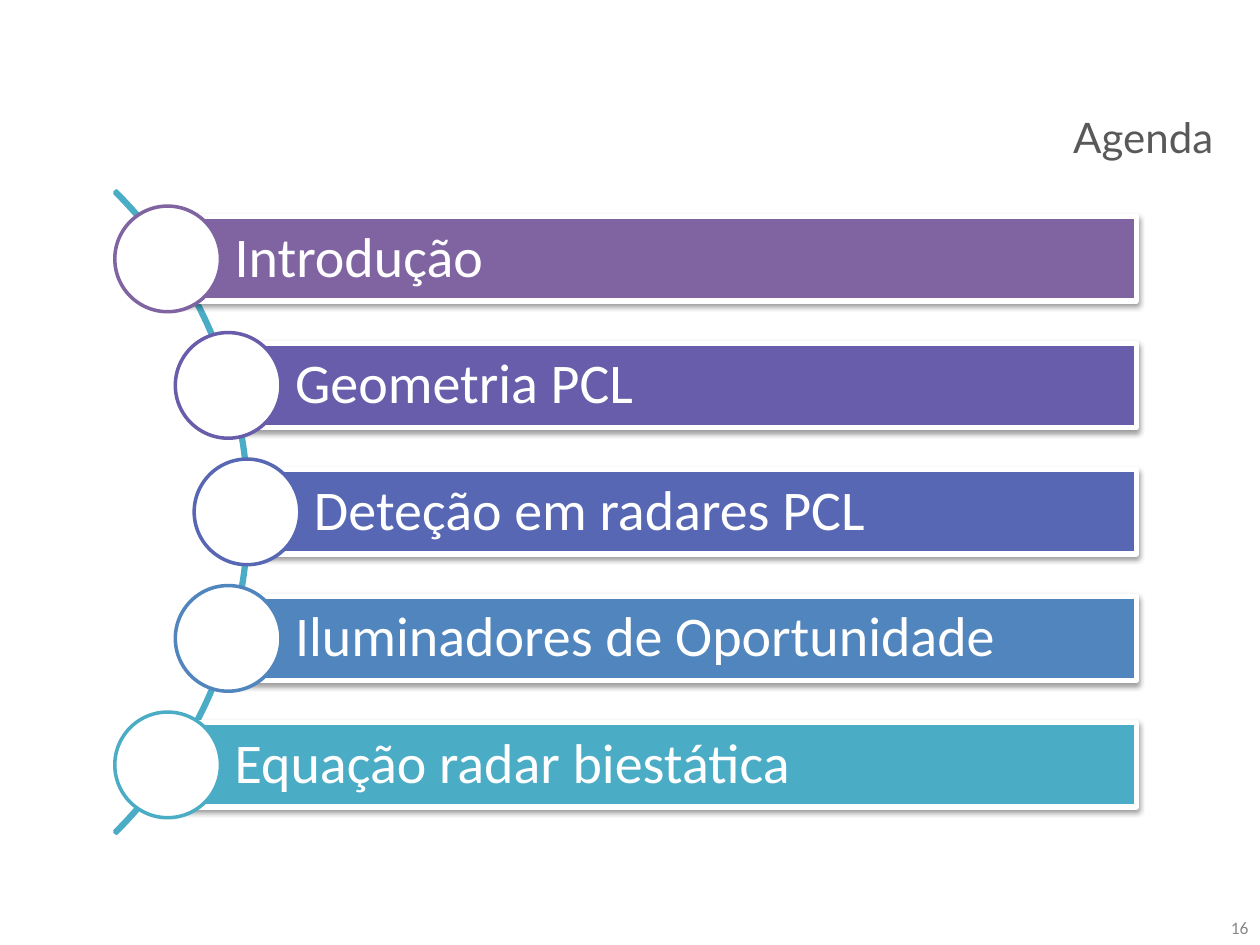
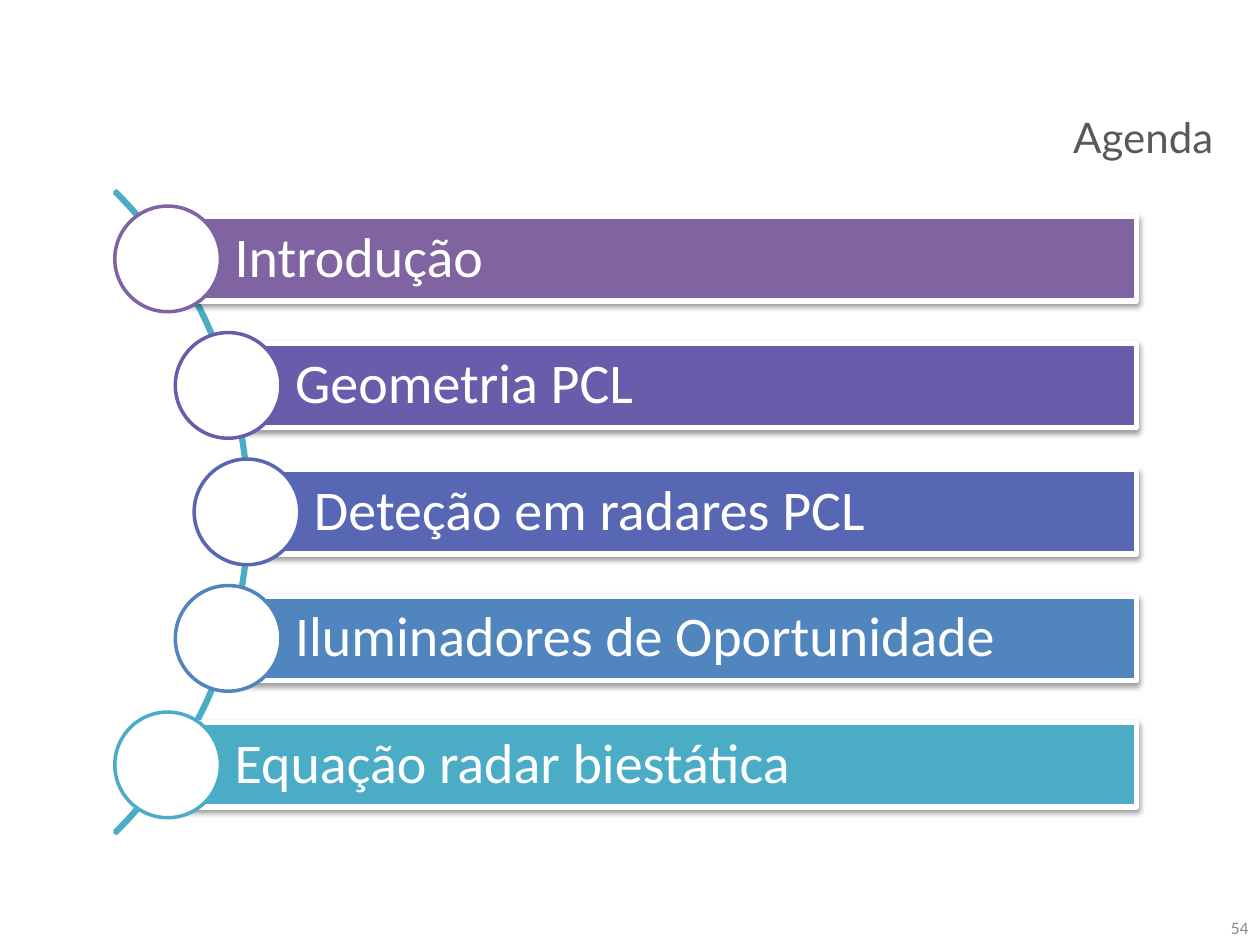
import pptx
import pptx.util
import pptx.dml.color
import pptx.enum.shapes
import pptx.enum.text
import pptx.oxml
import pptx.oxml.ns

Cm = pptx.util.Cm
Pt = pptx.util.Pt
RGBColor = pptx.dml.color.RGBColor
MSO_SHAPE = pptx.enum.shapes.MSO_SHAPE
MSO_ANCHOR = pptx.enum.text.MSO_ANCHOR
PP_ALIGN = pptx.enum.text.PP_ALIGN

# Shared colours and fonts
WHITE = RGBColor(0xFF, 0xFF, 0xFF)
TITLE_GREY = RGBColor(0x59, 0x59, 0x59)
NUMBER_GREY = RGBColor(0x89, 0x89, 0x89)
PURPLE = RGBColor(0x80, 0x64, 0xA2)
VIOLET = RGBColor(0x68, 0x5D, 0xAB)
INDIGO = RGBColor(0x57, 0x67, 0xB4)
BLUE = RGBColor(0x51, 0x85, 0xBD)
TEAL = RGBColor(0x4B, 0xAC, 0xC6)
BODY_FONT = "Calibri"
TITLE_FONT = "Lato"

# Agenda: text, colour, and the circle centre, where the bar begins (cm)
AGENDA = [
    ("Introdução", PURPLE, 3.38),
    ("Geometria PCL", VIOLET, 4.6),
    ("Deteção em radares PCL", INDIGO, 4.98),
    ("Iluminadores de Oportunidade", BLUE, 4.6),
    ("Equação radar biestática", TEAL, 3.38),
]
SLIDE_NUMBERS = ["16", "54"]
FIRST_CENTRE, PITCH = 5.22, 2.55
BAR_RIGHT, BAR_HEIGHT, CIRCLE_SIZE = 22.91, 1.7, 2.13

BAR_SHADOW = (
    '<a:outerShdw xmlns:a="http://schemas.openxmlformats.org/drawingml/2006/main"'
    ' blurRad="40000" dist="20000" dir="5400000" rotWithShape="0">'
    '<a:srgbClr val="000000"><a:alpha val="38000"/></a:srgbClr></a:outerShdw>'
)


def add_outlined(slide, kind, left, top, width, height, fill, line, line_width):
    shape = slide.shapes.add_shape(kind, Cm(left), Cm(top), Cm(width), Cm(height))
    shape.shadow.inherit = False
    if fill is None:
        shape.fill.background()
    else:
        shape.fill.solid()
        shape.fill.fore_color.rgb = fill
    shape.line.color.rgb = line
    shape.line.width = Pt(line_width)
    return shape


def write_line(shape, text, font_name, size, colour, alignment, anchor):
    frame = shape.text_frame
    frame.text = text
    frame.word_wrap = True
    frame.auto_size = pptx.enum.text.MSO_AUTO_SIZE.NONE
    frame.vertical_anchor = anchor
    paragraph = frame.paragraphs[0]
    paragraph.alignment = alignment
    font = paragraph.runs[0].font
    font.name = font_name
    font.size = Pt(size)
    font.color.rgb = colour
    return paragraph


presentation = pptx.Presentation()
presentation.slide_width = Cm(25.4)
presentation.slide_height = Cm(19.05)
title_only = presentation.slide_layouts[5]

for number in SLIDE_NUMBERS:
    slide = presentation.slides.add_slide(title_only)

    # Title
    title = slide.shapes.title
    title.left, title.top = Cm(3.91), Cm(2.13)
    title.width, title.height = Cm(20.8), Cm(1.2)
    write_line(title, "Agenda", TITLE_FONT, 24, TITLE_GREY, PP_ALIGN.RIGHT, MSO_ANCHOR.TOP)

    # Slide number
    number_box = slide.shapes.add_textbox(Cm(19.5), Cm(18.18), Cm(5.92), Cm(1.02))
    write_line(number_box, number, BODY_FONT, 10, NUMBER_GREY, PP_ALIGN.RIGHT, MSO_ANCHOR.MIDDLE)

    # Arc behind the circles
    arc = add_outlined(slide, MSO_SHAPE.BLOCK_ARC, -13.28, 1.17, 18.31, 18.31, None, TEAL, 2)
    for index, adjustment in enumerate((189, 27, 0.003)):
        arc.adjustments[index] = adjustment

    # Agenda bars and circles
    for index, (text, colour, centre_x) in enumerate(AGENDA):
        centre_y = FIRST_CENTRE + index * PITCH
        bar = add_outlined(slide, MSO_SHAPE.RECTANGLE, centre_x, centre_y - BAR_HEIGHT / 2,
                           BAR_RIGHT - centre_x, BAR_HEIGHT, colour, WHITE, 3)
        effects = bar.element.spPr.find(pptx.oxml.ns.qn("a:effectLst"))
        effects.append(pptx.oxml.parse_xml(BAR_SHADOW))
        paragraph = write_line(bar, text, BODY_FONT, 32, WHITE, PP_ALIGN.LEFT, MSO_ANCHOR.MIDDLE)
        paragraph.line_spacing = 0.9
        frame = bar.text_frame
        frame.margin_left = Cm(1.35)
        frame.margin_top = frame.margin_right = frame.margin_bottom = Cm(0.23)
        add_outlined(slide, MSO_SHAPE.OVAL, centre_x - CIRCLE_SIZE / 2, centre_y - CIRCLE_SIZE / 2,
                     CIRCLE_SIZE, CIRCLE_SIZE, WHITE, colour, 2)

presentation.save("out.pptx")
